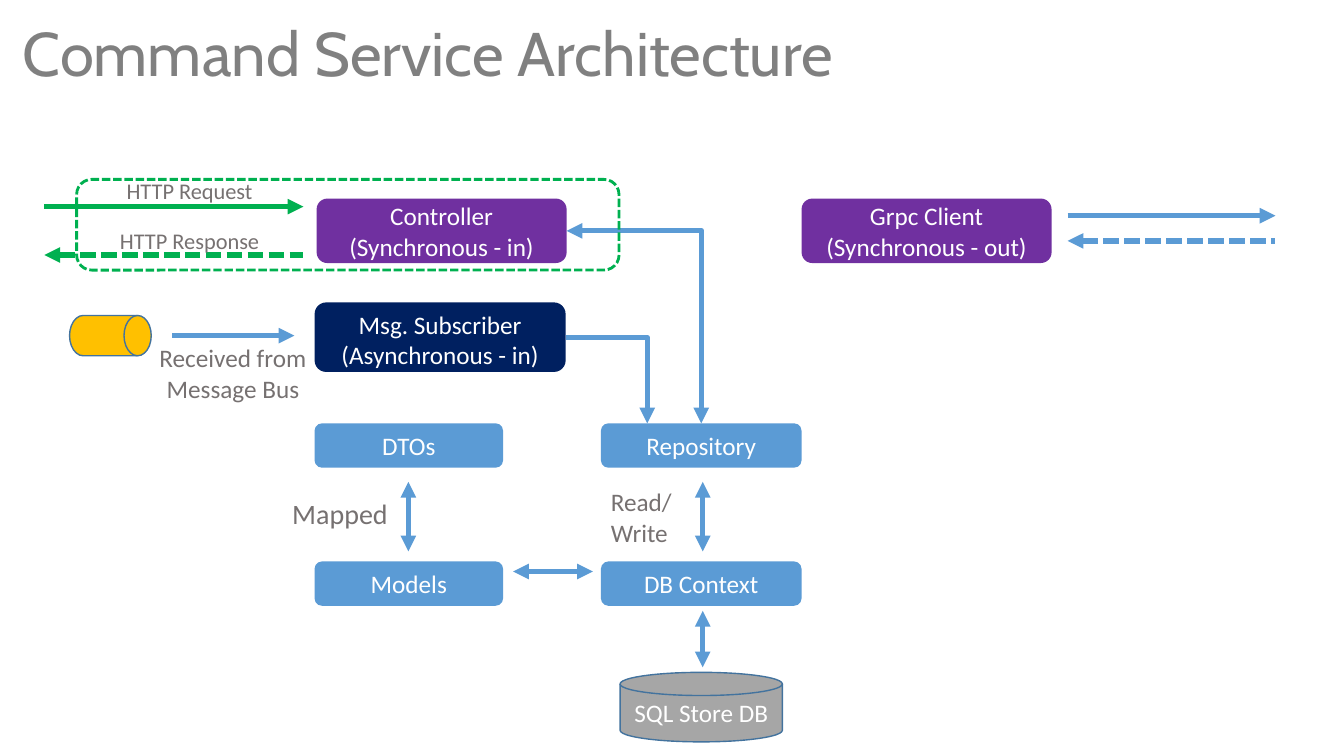
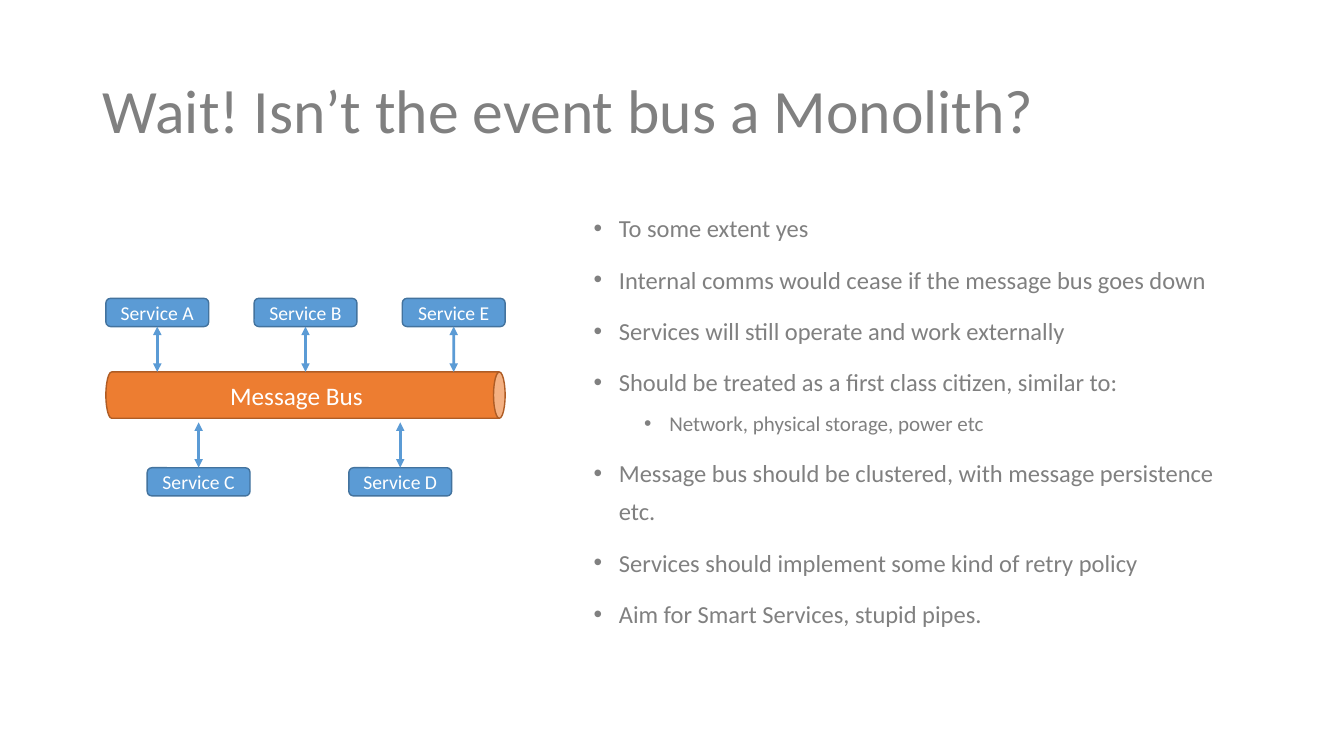
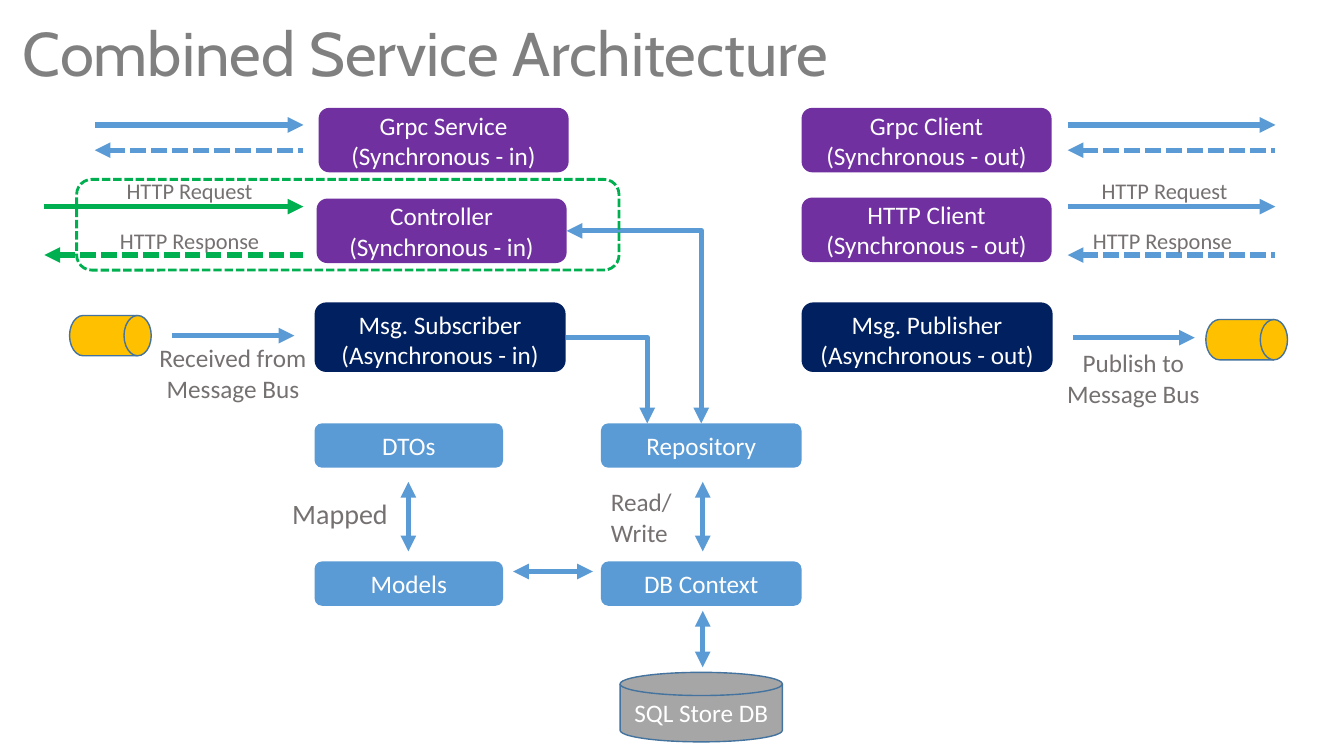
from lxml import etree
from pptx import Presentation
from pptx import util as u
from pptx.dml import color
from pptx.enum import dml, shapes, text
from pptx.oxml import ns

COLOURS = {
    "title": "808080", "label": "767171", "white": "FFFFFF", "blue": "5B9BD5",
    "edge": "43739E", "purple": "7030A0", "navy": "002060", "green": "00B050",
    "amber": "FFC000", "silver": "A6A6A6", "orange": "ED7D31", "rust": "AF5C24",
}
INK = {name: color.RGBColor.from_string(value) for name, value in COLOURS.items()}
ROUNDED = shapes.MSO_SHAPE.ROUNDED_RECTANGLE
DRUM = shapes.MSO_SHAPE.FLOWCHART_DIRECT_ACCESS_STORAGE
DISK = shapes.MSO_SHAPE.FLOWCHART_MAGNETIC_DISK
BOTH = ("headEnd", "tailEnd")
HEAD = ("headEnd",)
TAIL = ("tailEnd",)

deck = Presentation()
deck.slide_width, deck.slide_height = u.Inches(13.33), u.Inches(7.5)
cell = deck.slide_height / 75


def add_box(page, kind, place, lines=(), size=18, ink="white", fill=None,
            edge=None, centred=True, font="Calibri"):
    place = [int(length * cell) for length in place]
    if kind is None:
        box = page.shapes.add_textbox(*place)
    else:
        box = page.shapes.add_shape(kind, *place)
        box.shadow.inherit = False
        box.fill.background()
        box.line.fill.background()
        box.text_frame.vertical_anchor = text.MSO_ANCHOR.MIDDLE
    if fill:
        box.fill.solid()
        box.fill.fore_color.rgb = INK[fill]
    if edge:
        box.line.color.rgb = INK[edge]
        box.line.width = u.Pt(1)
    frame = box.text_frame
    frame.word_wrap = True
    for row, line in enumerate(lines):
        para = frame.add_paragraph() if row else frame.paragraphs[0]
        para.alignment = text.PP_ALIGN.CENTER if centred else text.PP_ALIGN.LEFT
        for part, words in enumerate(line.split("\n")):
            if part:
                para.add_line_break()
            span = para.add_run()
            span.text = words
            span.font.name = font
            span.font.size = u.Pt(size)
            span.font.color.rgb = INK[ink]
    return box


def add_arrow(page, start, end, ends, ink="blue", width=3.75, dashed=False,
              kind=shapes.MSO_CONNECTOR.STRAIGHT):
    points = [int(length * cell) for length in (*start, *end)]
    arrow = page.shapes.add_connector(kind, *points)
    arrow.line.color.rgb = INK[ink]
    arrow.line.width = u.Pt(width)
    if dashed:
        arrow.line.dash_style = dml.MSO_LINE.SQUARE_DOT
    properties = arrow.element.spPr
    outline = properties.find(ns.qn("a:ln"))
    for name in ends:
        etree.SubElement(outline, ns.qn("a:" + name), type="triangle")
    etree.SubElement(properties, ns.qn("a:effectLst"))
    if kind == shapes.MSO_CONNECTOR.ELBOW:
        properties.find(ns.qn("a:prstGeom")).set("prst", "bentConnector2")
    return arrow


blank = deck.slide_layouts[6]
command, monolith, combined = [deck.slides.add_slide(blank) for _ in range(3)]

for page, words, place, font in (
    (command, "Command Service Architecture", (1.3, 1.8, 115, 7.7), "Cabin"),
    (monolith, "Wait! Isn’t the event bus a Monolith?", (9.2, 4, 115, 14.5), "Calibri"),
    (combined, "Combined Service Architecture", (1.3, 1.8, 115, 7.7), "Cabin"),
):
    title = add_box(page, None, place, [words], 44, "title", centred=False, font=font)
    title.text_frame.vertical_anchor = text.MSO_ANCHOR.MIDDLE
    title.text_frame.paragraphs[0].line_spacing = 0.9

controller = ("Controller", "in", 31.4, 19.7)
subscriber = ("Subscriber", "in", 31.2)
bus_in = ("Received from", 14.7, 33.5, 17.1, 33.3, 6.9, 31.3)
http_in = (4.4, 30.1, 20.5, 25.3, "green")
http_in_labels = (10.4, 9.4)

command_parts = (
    [controller, ("Grpc Client", "out", 79.5, 19.7)],
    [subscriber],
    [bus_in],
    [http_in, (105.9, 126.5, 21.4, 23.9, "blue")],
    [http_in_labels],
)
combined_parts = (
    [controller, ("Grpc Client", "out", 79.5, 10.7),
     ("Grpc Service", "in", 31.6, 10.7), ("HTTP Client", "out", 79.5, 19.6)],
    [subscriber, ("Publisher", "out", 79.5)],
    [bus_in, ("Publish to", 104, 34, 106.4, 33.5, 119.6, 31.7)],
    [http_in, (105.9, 126.5, 20.5, 25.3, "blue"),
     (9.4, 30.1, 12.4, 14.9, "blue"), (105.9, 126.5, 12.4, 14.9, "blue")],
    [http_in_labels, (107.1, 105.9)],
)

for page, parts in ((command, command_parts), (combined, combined_parts)):
    purple_boxes, navy_boxes, bus_links, call_pairs, call_labels = parts
    nodes = {}
    for words, left, top, width in (
        ("Models", 31.2, 55.7, 18.7), ("DB Context", 59.6, 55.7, 19.9),
        ("DTOs", 31.2, 42, 18.7), ("Repository", 59.6, 42, 19.9),
    ):
        nodes[words] = add_box(page, ROUNDED, (left, top, width, 4.4), [words], fill="blue")
    add_box(page, DISK, (61.5, 66.7, 16.1, 6.9), ["SQL Store DB"], fill="silver", edge="edge")
    add_box(page, None, (28, 48.8, 12, 4.4), ["Mapped"], 20, "label", centred=False)
    add_box(page, None, (59.6, 47.8, 8.1, 7.1), ["Read/", "Write"], 18, "label", centred=False)

    for name, way, left, top in purple_boxes:
        nodes[name] = add_box(page, ROUNDED, (left, top, 24.8, 6.4),
                              [f"{name}\n(Synchronous - {way})"], fill="purple")
    for name, way, left in navy_boxes:
        box = add_box(page, ROUNDED, (left, 30, 24.9, 6.9),
                      [f"Msg. {name}\n(Asynchronous - {way})"], fill="navy")
        box.text_frame.margin_top = u.Inches(0.08)
        box.text_frame.margin_bottom = u.Inches(0.04)

    for words, label_left, label_top, arrow_left, arrow_top, drum_left, drum_top in bus_links:
        add_box(page, DRUM, (drum_left, drum_top, 8.1, 4), fill="amber", edge="edge")
        add_box(page, None, (label_left, label_top, 16.8, 7.1), [words, "Message Bus"], 18, "label")
        add_arrow(page, (arrow_left, arrow_top), (arrow_left + 12.1, arrow_top), TAIL)

    for left, right, request, response, ink in call_pairs:
        add_arrow(page, (left, request), (right, request), TAIL, ink)
        add_arrow(page, (left, response), (right, response), HEAD, ink, dashed=True)
    for request_left, response_left in call_labels:
        add_box(page, None, (request_left, 17.1, 16.8, 3.7), ["HTTP Request"], 16, "label")
        add_box(page, None, (response_left, 22, 18.8, 3.7), ["HTTP Response"], 16, "label")

    for start, end in (
        ((40.5, 47.8), (40.5, 54.7)), ((69.7, 47.8), (69.7, 54.7)),
        ((69.7, 60.6), (69.7, 66.2)), ((50.9, 56.7), (58.8, 56.7)),
    ):
        add_arrow(page, start, end, BOTH)
    elbow = add_arrow(page, (56.2, 22.9), (69.5, 42), BOTH, kind=shapes.MSO_CONNECTOR.ELBOW)
    elbow.begin_connect(nodes["Controller"], 3)
    elbow.end_connect(nodes["Repository"], 0)
    add_arrow(page, (56.1, 33.5), (64.2, 42), TAIL, kind=shapes.MSO_CONNECTOR.ELBOW)

    boundary = add_box(page, ROUNDED, (7.6, 17.8, 53.8, 9), edge="green")
    boundary.line.width = u.Pt(2)
    boundary.line.dash_style = dml.MSO_LINE.SQUARE_DOT

bus = add_box(monolith, shapes.MSO_SHAPE.CAN, (28, 19.4, 4.6, 39.6), fill="orange", edge="rust")
bus.rotation = 90
add_box(monolith, None, (10.5, 37.2, 37.8, 4), ["Message Bus"])

for letters, left, step, top, bus_side, service_side in (
    ("ABE", 10.5, 14.7, 29.6, 36.9, 2),
    ("CD", 14.6, 20, 46.4, 41.9, 0),
):
    for column, letter in enumerate(letters):
        x = left + column * step
        service = add_box(monolith, ROUNDED, (x, top, 10.2, 2.8), [f"Service {letter}"],
                          14, fill="blue", edge="edge")
        middle = x + 5.1
        link = add_arrow(monolith, (middle, top), (middle, bus_side), BOTH, width=2)
        link.begin_connect(service, service_side)

points = (
    (0, "To some extent yes"),
    (0, "Internal comms would cease if the message bus goes down"),
    (0, "Services will still operate and work externally"),
    (0, "Should be treated as a first class citizen, similar to:"),
    (1, "Network, physical storage, power etc"),
    (0, "Message bus should be clustered, with message persistence etc."),
    (0, "Services should implement some kind of retry policy"),
    (0, "Aim for Smart Services, stupid pipes."),
)
body = add_box(monolith, None, (57.9, 19.8, 66.3, 47.8), [words for _, words in points],
               17.5, "title", centred=False)
for row, (para, (level, _)) in enumerate(zip(body.text_frame.paragraphs, points)):
    para.level = level
    para.line_spacing = 1.3
    para.space_before = u.Pt((4.7 if level else 9.4) if row else 0)
    layout = para._p.get_or_add_pPr()
    layout.set("marL", str(u.Inches(0.25 + 0.5 * level)))
    layout.set("indent", str(u.Inches(-0.25)))
    etree.SubElement(layout, ns.qn("a:buFont"), typeface="Arial")
    etree.SubElement(layout, ns.qn("a:buChar"), char="•")
    if level:
        para.runs[0].font.size = u.Pt(15)

deck.save("out.pptx")
